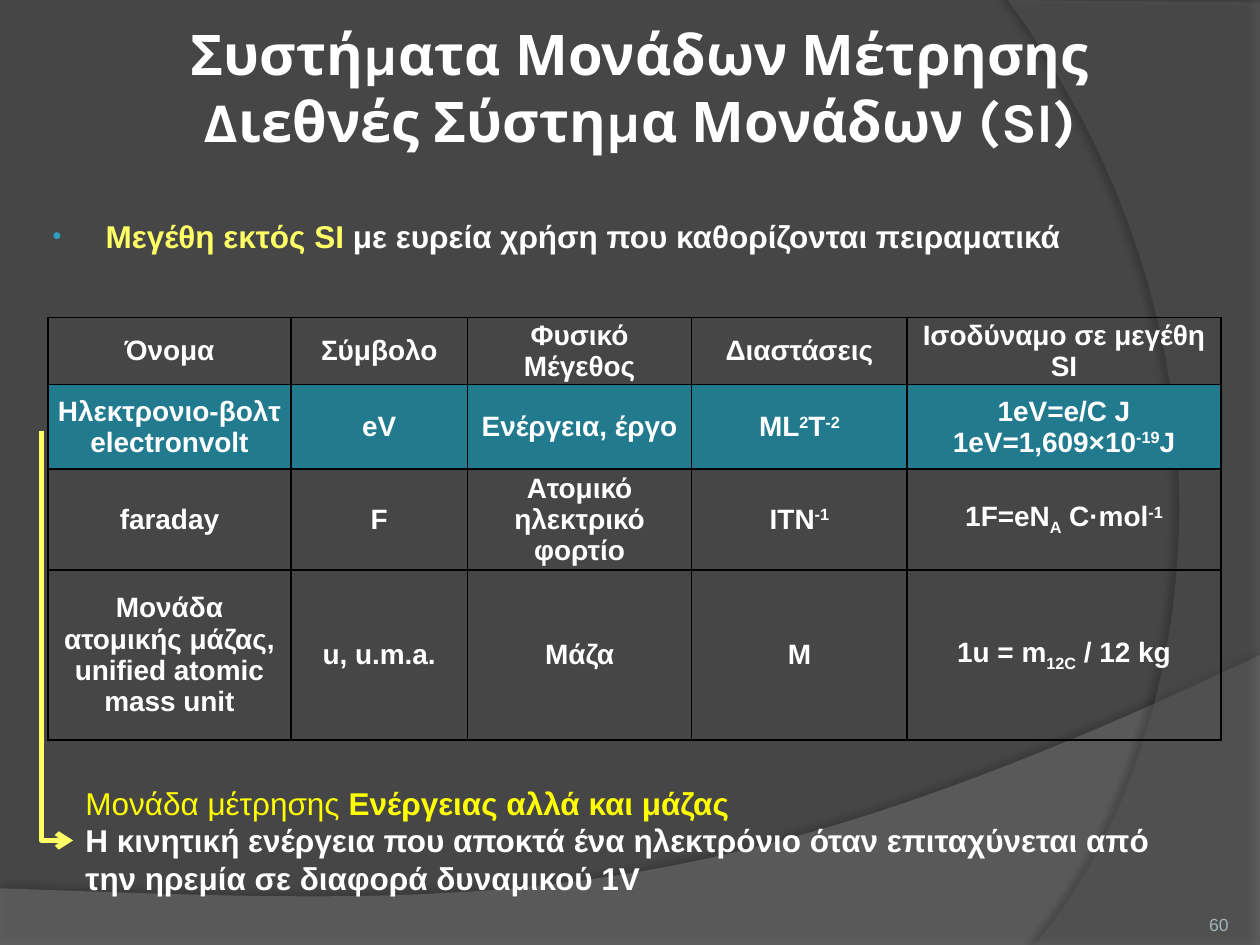
from lxml import etree
from pptx import Presentation
from pptx.dml.color import RGBColor
from pptx.enum.shapes import MSO_CONNECTOR
from pptx.enum.text import MSO_ANCHOR, MSO_AUTO_SIZE, PP_ALIGN
from pptx.oxml.ns import qn
from pptx.util import Inches, Pt

WHITE, YELLOW, PALE_YELLOW, TEAL = "FFFFFF", "FFFF00", "FFFF66", "227A8F"
COLUMN_WIDTHS = [1.93, 1.4, 1.78, 1.71, 2.49]
ROW_HEIGHTS = [0.5, 0.67, 0.74, 1.35]
# "|" separates runs; "^" raises a run and "_" lowers it
UNITS = [
    ["Όνομα", "Σύμβολο", "Φυσικό Μέγεθος", "Διαστάσεις", "Ισοδύναμο σε μεγέθη SI"],
    ["Ηλεκτρονιο-βολτ electronvolt", "eV", "Ενέργεια, έργο", "ML|^2|T|^-2",
     "1eV=e/C J\n1eV=1,609×10|^-19|J"],
    ["faraday", "F", "Ατομικό ηλεκτρικό φορτίο", "ITN|^-1", "1F=eN|_A| C·mol|^-1"],
    ["Μονάδα ατομικής μάζας,\nunified atomic mass unit", "u, u.m.a.", "Μάζα", "M",
     "1u = m|_12C| / 12 kg"],
]
BASELINES = {"^": "30000", "_": "-25000"}


def color(value):
    return RGBColor.from_string(value)


def add_element(parent, tag, **attributes):
    return etree.SubElement(parent, qn(tag), attributes)


def add_run(paragraph, text, size, fill, bold=False, font="Arial"):
    run = paragraph.add_run()
    run.text = text
    run.font.size, run.font.bold, run.font.name = Pt(size), bold, font
    run.font.color.rgb = color(fill)
    return run


def add_text_frame(slide, box):
    frame = slide.shapes.add_textbox(*map(Inches, box)).text_frame
    frame.word_wrap = True
    return frame


def set_margins(target, horizontal, vertical):
    target.margin_left = target.margin_right = Inches(horizontal)
    target.margin_top = target.margin_bottom = Inches(vertical)


def bezier(points, steps=48):
    p0, p1, p2, p3 = points
    for step in range(steps + 1):
        t = step / steps
        yield tuple((1 - t) ** 3 * a + 3 * (1 - t) ** 2 * t * b
                    + 3 * (1 - t) * t ** 2 * c + t ** 3 * d
                    for a, b, c, d in zip(p0, p1, p2, p3))


def add_swoosh(slide, corners, curve, fill, opacity, shadow):
    """Translucent background band: straight corners, then one curved edge."""
    points = [(Inches(x), Inches(y)) for x, y in corners + list(bezier(curve))]
    builder = slide.shapes.build_freeform(*points[0])
    builder.add_line_segments(points[1:], close=True)
    shape = builder.convert_to_shape()
    shape.fill.solid()
    shape.fill.fore_color.rgb = color(fill)
    shape.line.fill.background()
    properties = shape._element.spPr
    fill_color = properties.find(qn("a:solidFill"))[0]
    add_element(fill_color, "a:alpha", val=str(opacity * 1000))
    shadow_opacity, blur, distance, angle = shadow
    effects = add_element(properties, "a:effectLst")
    outer = add_element(effects, "a:outerShdw", blurRad=str(Pt(blur)),
                        dist=str(Pt(distance)), dir=str(angle * 60000),
                        algn="ctr", rotWithShape="0")
    shadow_color = add_element(outer, "a:srgbClr", val="000000")
    add_element(shadow_color, "a:alpha", val=str(shadow_opacity * 1000))


def add_background(slide):
    slide.background.fill.solid()
    slide.background.fill.fore_color.rgb = color("464646")
    add_swoosh(slide, [(0, 7.05), (0, 7.5), (10, 7.5)],
               [(10, 5.2), (5.59, 7.29), (3.91, 7.19), (0, 7.05)],
               "7F7F7F", 45, (35, 4, 3.5, 270))
    add_swoosh(slide, [(10, 0.02), (10, 7.5)],
               [(8.21, 7.5), (9.35, 6.19), (10.18, 3), (8, 0)],
               "5E5E5E", 40, (45, 4, 4, 180))


def add_title(slide, box, lines):
    title = slide.shapes.title
    # Bring the placeholder in front of the background bands
    title._element.getparent().append(title._element)
    title.left, title.top, title.width, title.height = map(Inches, box)
    frame = title.text_frame
    frame.vertical_anchor = MSO_ANCHOR.MIDDLE
    frame.auto_size = MSO_AUTO_SIZE.NONE
    set_margins(frame, 0.05, 0.05)
    paragraph = frame.paragraphs[0]
    paragraph.alignment = PP_ALIGN.CENTER
    for index, line in enumerate(lines):
        if index:
            paragraph.add_line_break()
        add_run(paragraph, line, 32, WHITE, True, "Karla")


def add_bullet(slide, box):
    paragraph = add_text_frame(slide, box).paragraphs[0]
    paragraph.alignment = PP_ALIGN.JUSTIFY
    properties = paragraph._p.get_or_add_pPr()
    properties.set("marL", str(Inches(0.46)))
    properties.set("indent", str(Inches(-0.42)))
    add_element(add_element(properties, "a:buClr"), "a:srgbClr", val="2DA2BF")
    add_element(properties, "a:buSzPct", val="80000")
    add_element(properties, "a:buFont", typeface="Arial")
    add_element(properties, "a:buChar", char="•")
    add_run(paragraph, "Μεγέθη εκτός SI ", 18, PALE_YELLOW, True)
    add_run(paragraph, "με ευρεία χρήση που καθορίζονται πειραματικά", 18, WHITE, True)


def fill_cell(cell, text, fill):
    cell.vertical_anchor = MSO_ANCHOR.MIDDLE
    set_margins(cell, 0.07, 0)
    properties = cell._tc.get_or_add_tcPr()
    for side in ("a:lnL", "a:lnR", "a:lnT", "a:lnB"):
        border = add_element(properties, side, w=str(Pt(1)))
        add_element(add_element(border, "a:solidFill"), "a:srgbClr", val="000000")
    if fill:
        cell.fill.solid()
        cell.fill.fore_color.rgb = color(fill)
    else:
        cell.fill.background()
    frame = cell.text_frame
    for index, line in enumerate(text.split("\n")):
        paragraph = frame.add_paragraph() if index else frame.paragraphs[0]
        paragraph.alignment = PP_ALIGN.CENTER
        for part in line.split("|"):
            baseline = BASELINES.get(part[0])
            run = add_run(paragraph, part[1:] if baseline else part, 16, WHITE, True)
            if baseline:
                run._r.get_or_add_rPr().set("baseline", baseline)


def add_units_table(slide, left, top):
    box = left, top, sum(COLUMN_WIDTHS), sum(ROW_HEIGHTS)
    table = slide.shapes.add_table(len(UNITS), len(COLUMN_WIDTHS),
                                   *map(Inches, box)).table
    table.first_row = table.horz_banding = False
    for column, width in zip(table.columns, COLUMN_WIDTHS):
        column.width = Inches(width)
    for index, (row, height, texts) in enumerate(zip(table.rows, ROW_HEIGHTS, UNITS)):
        row.height = Inches(height)
        for cell, text in zip(row.cells, texts):
            fill_cell(cell, text, TEAL if index == 1 else None)


def add_explanation(slide, box):
    frame = add_text_frame(slide, box)
    heading = frame.paragraphs[0]
    add_run(heading, "Μονάδα μέτρησης ", 18, YELLOW)
    add_run(heading, "Ενέργειας αλλά και μάζας", 18, YELLOW, True)
    add_run(frame.add_paragraph(), "H κινητική ενέργεια που αποκτά ένα ηλεκτρόνιο όταν "
            "επιταχύνεται από την ηρεμία σε διαφορά δυναμικού 1V", 18, WHITE, True)


def add_bent_arrow(slide, left, top, width, height):
    """One-bend arrow going down, then right: a turned and flipped elbow."""
    middle_x, middle_y = left + width / 2, top + height / 2
    ends = (middle_x - height / 2, middle_y - width / 2,
            middle_x + height / 2, middle_y + width / 2)
    arrow = slide.shapes.add_connector(MSO_CONNECTOR.ELBOW, *map(Inches, ends))
    arrow.line.color.rgb = color(PALE_YELLOW)
    arrow.line.width = Pt(3)
    properties = arrow._element.spPr
    properties.find(qn("a:prstGeom")).set("prst", "bentConnector2")
    transform = properties.find(qn("a:xfrm"))
    transform.set("rot", str(270 * 60000))
    transform.set("flipH", "1")
    add_element(properties.find(qn("a:ln")), "a:tailEnd", type="arrow")
    add_element(properties, "a:effectLst")


def add_slide_number(slide, box):
    frame = add_text_frame(slide, box)
    set_margins(frame, 0, 0)
    frame.vertical_anchor = MSO_ANCHOR.BOTTOM
    frame.paragraphs[0].alignment = PP_ALIGN.RIGHT
    add_run(frame.paragraphs[0], "60", 10, "A4B5B9")


def main():
    presentation = Presentation()
    presentation.slide_width, presentation.slide_height = Inches(10), Inches(7.5)
    slide = presentation.slides.add_slide(presentation.slide_layouts[5])
    add_background(slide)
    add_title(slide, (0.58, 0.42, 9, 0.53),
              ["Συστήματα Μονάδων Μέτρησης", "Διεθνές Σύστημα Μονάδων (SI)"])
    add_bullet(slide, (0.28, 1.67, 9.72, 0.31))
    add_slide_number(slide, (8.92, 7.02, 0.83, 0.4))
    add_units_table(slide, 0.38, 2.52)
    add_explanation(slide, (0.58, 6.17, 9.08, 1.01))
    add_bent_arrow(slide, 0.33, 3.42, 0.25, 3.25)
    presentation.save("out.pptx")


if __name__ == "__main__":
    main()
